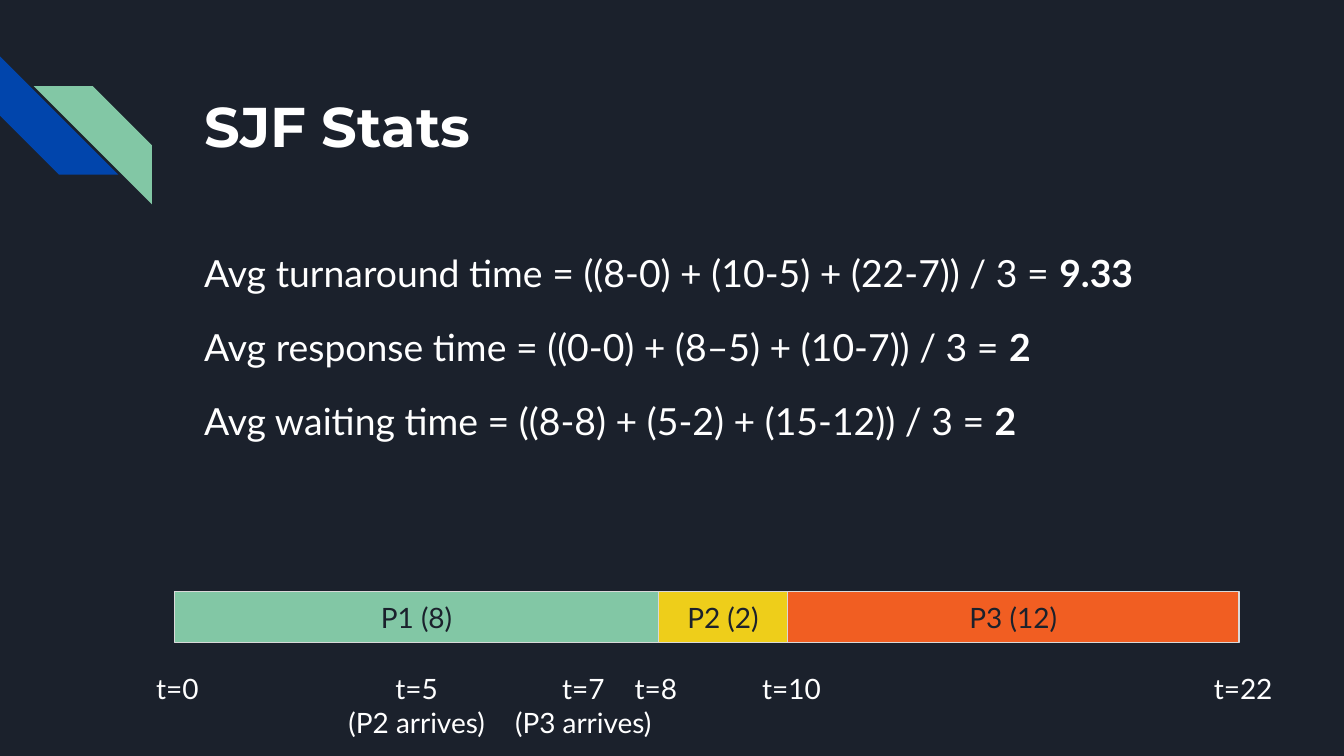
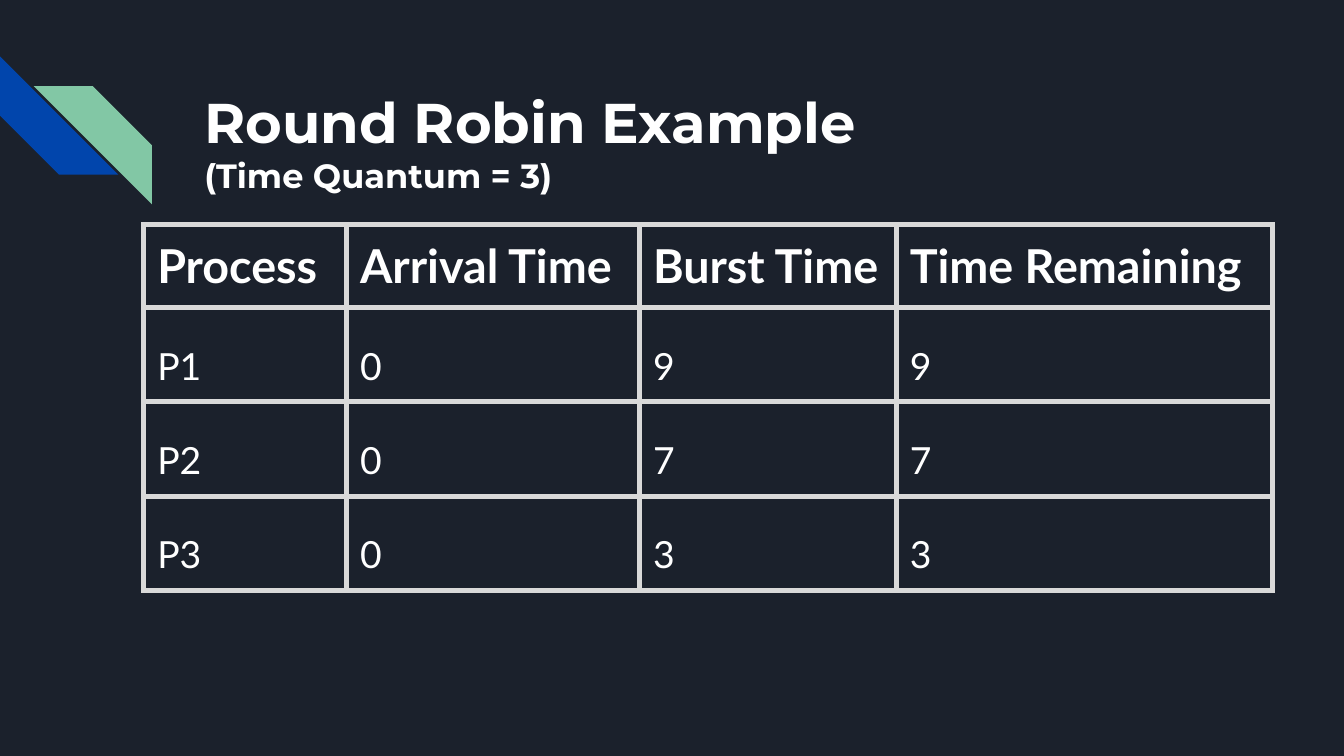
from lxml import etree
from pptx import Presentation
from pptx.dml.color import RGBColor
from pptx.enum.shapes import MSO_SHAPE
from pptx.enum.text import MSO_ANCHOR, MSO_AUTO_SIZE, PP_ALIGN
from pptx.oxml.ns import qn
from pptx.util import Inches, Pt

STRIPE, RECT = MSO_SHAPE.DIAGONAL_STRIPE, MSO_SHAPE.RECTANGLE
TOP, MIDDLE = MSO_ANCHOR.TOP, MSO_ANCHOR.MIDDLE
LEFT, CENTER = PP_ALIGN.LEFT, PP_ALIGN.CENTER
NO_AUTOFIT = MSO_AUTO_SIZE.NONE

SLIDE_WIDTH = 10
SLIDE_HEIGHT = SLIDE_WIDTH * 9 / 16
COLORS = {
    "night": "1B212C", "white": "FFFFFF", "blue": "0145AC", "green": "82C7A5",
    "yellow": "EECE1A", "orange": "F15E22", "rule": "D9D9D9",
}
TITLE_FONT, BODY_FONT = "Montserrat", "Lato"

STATS_TITLE = [("SJF Stats", 30)]
AVERAGES = [
    ("Avg turnaround time = ((8-0) + (10-5) + (22-7)) / 3 = ", "9.33"),
    ("Avg response time = ((0-0) + (8–5) + (10-7)) / 3 = ", "2"),
    ("Avg waiting time = ((8-8) + (5-2) + (15-12)) / 3 = ", "2"),
]
TIMELINE_LEFT, TIMELINE_TOP, TIMELINE_HEIGHT = 1.3, 4.4, 0.38
BURSTS = [("P1 (8)", 3.6, "green"), ("P2 (2)", 0.96, "yellow"), ("P3 (12)", 3.36, "orange")]
TICKS = [
    ("t=0", 1.32), ("t=5\n(P2 arrives)", 3.1), ("t=7\n(P3 arrives)", 4.34),
    ("t=8", 4.88), ("t=10", 5.89), ("t=22", 9.25),
]
LABEL_WIDTH, ARRIVAL_WIDTH, ARRIVAL_HEIGHT = 0.86, 1.32, 0.72

ROBIN_TITLE = [("Round Robin Example", 30), ("(Time Quantum = 3)", 18)]
PROCESSES = [
    ("Process", "Arrival Time", "Burst Time", "Time Remaining"),
    ("P1", "0", "9", "9"),
    ("P2", "0", "7", "7"),
    ("P3", "0", "3", "3"),
]
COLUMN_WIDTHS = [1.51, 2.18, 1.91, 2.8]
ROW_HEIGHTS = [0.49, 0.43, 0.57, 0.57]


def rgb(name):
    return RGBColor.from_string(COLORS[name])


def style(font, size, color="white", bold=False, face=BODY_FONT):
    font.name, font.size, font.bold = face, Pt(size), bold
    font.color.rgb = rgb(color)


def set_frame(frame, anchor, wrap=True):
    frame.auto_size, frame.word_wrap, frame.vertical_anchor = NO_AUTOFIT, wrap, anchor
    frame.margin_left = frame.margin_right = Inches(0.1)
    frame.margin_top = frame.margin_bottom = Inches(0.1)


def add_block(slide, kind, left, top, width, height, color):
    block = slide.shapes.add_shape(kind, *map(Inches, (left, top, width, height)))
    block.shadow.inherit = False
    block.fill.solid()
    block.fill.fore_color.rgb = rgb(color)
    block.line.fill.background()
    return block


def add_label(slide, text, center, top, width, height, anchor=TOP, color="white"):
    box = slide.shapes.add_textbox(*map(Inches, (center - width / 2, top, width, height)))
    frame = box.text_frame
    set_frame(frame, anchor, wrap=False)
    frame.text = text
    for paragraph in frame.paragraphs:
        paragraph.alignment = CENTER
        style(paragraph.runs[0].font, 15, color)


def add_title(slide, lines, height):
    title = slide.shapes.title
    title.left, title.top, title.width, title.height = map(Inches, (1.42, 0.43, 7.7, height))
    frame = title.text_frame
    set_frame(frame, MIDDLE)
    frame.text = "\n".join(text for text, _ in lines)
    for paragraph, (_, size) in zip(frame.paragraphs, lines):
        paragraph.alignment = LEFT
        style(paragraph.runs[0].font, size, bold=True, face=TITLE_FONT)


def decorate_layout(layout, slide):
    layout.background.fill.solid()
    layout.background.fill.fore_color.rgb = rgb("night")
    blue = add_block(slide, STRIPE, 0, 0.42, 0.88, 0.88, "blue")
    blue.rotation = 270
    green = add_block(slide, STRIPE, 0.25, 0.64, 0.88, 0.88, "green")
    green.element.spPr.xfrm.set("flipH", "1")
    for stripe in (blue, green):
        layout.shapes.element.append(stripe.element)


def add_averages(slide):
    box = slide.shapes.add_textbox(*map(Inches, (1.42, 1.71, 7.7, 2.57)))
    frame = box.text_frame
    set_frame(frame, TOP)
    for index, (formula, result) in enumerate(AVERAGES):
        paragraph = frame.add_paragraph() if index else frame.paragraphs[0]
        paragraph.line_spacing = 1.15
        if index:
            paragraph.space_before = Pt(12)
        for text, bold in ((formula, False), (result, True)):
            run = paragraph.add_run()
            run.text = text
            style(run.font, 20, bold=bold)


def add_timeline(slide):
    left = TIMELINE_LEFT
    for name, width, color in BURSTS:
        burst = add_block(slide, RECT, left, TIMELINE_TOP, width, TIMELINE_HEIGHT, color)
        burst.line.color.rgb = rgb("rule")
        burst.line.width = Pt(0.75)
        add_label(slide, name, left + width / 2, TIMELINE_TOP, LABEL_WIDTH,
                  TIMELINE_HEIGHT, MIDDLE, "night")
        left += width
    for text, center in TICKS:
        arrival = "\n" in text
        add_label(slide, text, center, TIMELINE_TOP + 0.5,
                  ARRIVAL_WIDTH if arrival else LABEL_WIDTH,
                  ARRIVAL_HEIGHT if arrival else TIMELINE_HEIGHT)


def add_borders(cell):
    properties = cell._tc.get_or_add_tcPr()
    for side in ("lnL", "lnR", "lnT", "lnB"):
        border = etree.SubElement(properties, qn(f"a:{side}"), w=str(Pt(3)))
        fill = etree.SubElement(border, qn("a:solidFill"))
        etree.SubElement(fill, qn("a:srgbClr"), val=COLORS["rule"])


def add_processes(slide):
    table = slide.shapes.add_table(
        len(PROCESSES), len(COLUMN_WIDTHS), Inches(1.07), Inches(1.67),
        Inches(sum(COLUMN_WIDTHS)), Inches(sum(ROW_HEIGHTS))).table
    table.first_row = table.horz_banding = False
    for column, width in zip(table.columns, COLUMN_WIDTHS):
        column.width = Inches(width)
    for index, (row, height, values) in enumerate(zip(table.rows, ROW_HEIGHTS, PROCESSES)):
        row.height = Inches(height)
        heading = index == 0
        for cell, value in zip(row.cells, values):
            add_borders(cell)
            cell.fill.background()
            cell.margin_left = cell.margin_right = Inches(0.1)
            cell.margin_top = cell.margin_bottom = Inches(0.1)
            cell.text = value
            paragraph = cell.text_frame.paragraphs[0]
            if not heading:
                paragraph.line_spacing = 1.5
            style(paragraph.runs[0].font, 25 if heading else 20, bold=heading)


def main():
    deck = Presentation()
    deck.slide_width, deck.slide_height = Inches(SLIDE_WIDTH), Inches(SLIDE_HEIGHT)
    layout = deck.slide_layouts.get_by_name("Title Only")

    stats = deck.slides.add_slide(layout)
    decorate_layout(layout, stats)
    add_title(stats, STATS_TITLE, 1)
    add_averages(stats)
    add_timeline(stats)

    robin = deck.slides.add_slide(layout)
    add_title(robin, ROBIN_TITLE, 1.24)
    add_processes(robin)

    deck.save("out.pptx")


if __name__ == "__main__":
    main()
